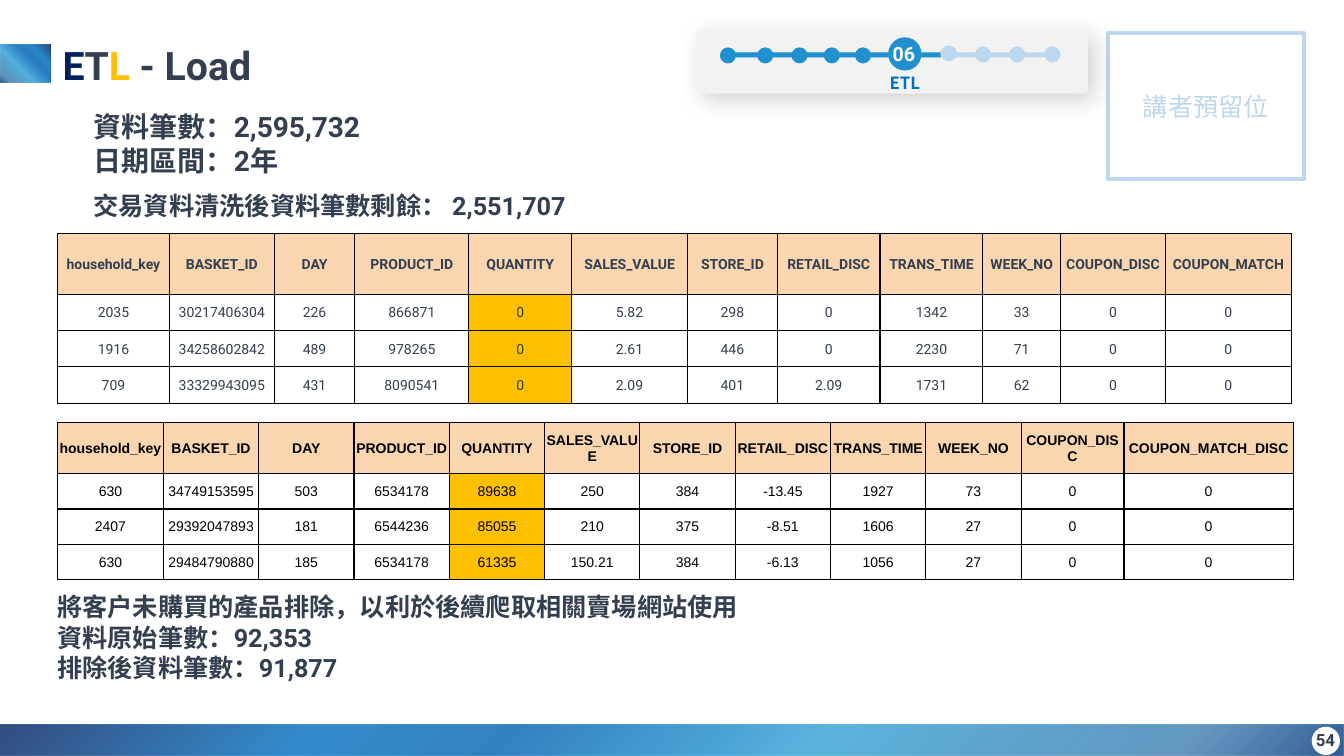
from lxml.etree import SubElement
from pptx import Presentation
from pptx.dml.color import RGBColor
from pptx.enum.shapes import MSO_SHAPE
from pptx.enum.text import MSO_ANCHOR, PP_ALIGN
from pptx.oxml import parse_xml
from pptx.oxml.ns import nsdecls, qn
from pptx.util import Inches, Pt

COLORS = {
    "white": "FFFFFF", "black": "000000", "slate": "333F50", "navy": "002060",
    "gold": "FFC000", "peach": "F9D6AF", "pale_blue": "BDD7EE", "blue": "2090CE",
    "label_blue": "0070C0", "panel": "F2F2F2",
}
# position %, colour, opacity %
GRADIENT = [
    (0, "002060", 100), (23, "0070C0", 100), (38, "0063B1", 100), (53, "1C8CCC", 100),
    (61, "34A3D6", 100), (88, "1766A2", 83), (100, "003478", 100),
]
COLUMNS = ["household_key", "BASKET_ID", "DAY", "PRODUCT_ID", "QUANTITY", "SALES_VALUE",
           "STORE_ID", "RETAIL_DISC", "TRANS_TIME", "WEEK_NO", "COUPON_DISC"]
QUANTITY = COLUMNS.index("QUANTITY")
ZERO_QUANTITY = [
    COLUMNS + ["COUPON_MATCH"],
    ["2035", "30217406304", "226", "866871", "0", "5.82", "298", "0", "1342", "33", "0", "0"],
    ["1916", "34258602842", "489", "978265", "0", "2.61", "446", "0", "2230", "71", "0", "0"],
    ["709", "33329943095", "431", "8090541", "0", "2.09", "401", "2.09", "1731", "62", "0", "0"],
]
HUGE_QUANTITY = [
    COLUMNS + ["COUPON_MATCH_DISC"],
    ["630", "34749153595", "503", "6534178", "89638", "250", "384", "-13.45", "1927", "73", "0", "0"],
    ["2407", "29392047893", "181", "6544236", "85055", "210", "375", "-8.51", "1606", "27", "0", "0"],
    ["630", "29484790880", "185", "6534178", "61335", "150.21", "384", "-6.13", "1056", "27", "0", "0"],
]
TABLE_WIDTH = 12.26


def rgb(name):
    return RGBColor.from_string(COLORS[name])


def add_run(paragraph, text, size, color, bold=True, font="Roboto"):
    run = paragraph.add_run()
    run.text = text
    run.font.size, run.font.bold, run.font.name = Pt(size), bold, font
    run.font.color.rgb = rgb(color)
    east_asian = SubElement(run.font._element, qn("a:ea"))
    east_asian.set("typeface", "Noto Sans CJK TC")


def add_shape(shapes, kind, left, top, width, height, fill=None, opacity=100):
    shape = shapes.add_shape(kind, Inches(left), Inches(top), Inches(width), Inches(height))
    shape.shadow.inherit = False
    shape.line.fill.background()
    if fill is None:
        shape.fill.background()
        return shape
    shape.fill.solid()
    shape.fill.fore_color.rgb = rgb(fill)
    if opacity < 100:
        color = shape.fill._xPr.find(qn("a:solidFill"))[0]
        SubElement(color, qn("a:alpha")).set("val", str(opacity * 1000))
    return shape


def add_gradient_bar(shapes, left, top, width, height, rotation=0):
    shape = add_shape(shapes, MSO_SHAPE.RECTANGLE, left, top, width, height)
    shape.rotation = rotation
    stops = "".join(
        f'<a:gs pos="{position * 1000}"><a:srgbClr val="{color}">'
        f'<a:alpha val="{opacity * 1000}"/></a:srgbClr></a:gs>'
        for position, color, opacity in GRADIENT)
    gradient = parse_xml(
        f'<a:gradFill {nsdecls("a")} rotWithShape="1"><a:gsLst>{stops}</a:gsLst>'
        '<a:lin ang="2700000" scaled="0"/></a:gradFill>')
    properties = shape._element.spPr
    properties.replace(properties.find(qn("a:noFill")), gradient)


def add_text(shapes, left, top, width, height, lines, size, color="slate",
             align=PP_ALIGN.LEFT, anchor=MSO_ANCHOR.TOP, spacing=None, font="Roboto"):
    box = shapes.add_textbox(Inches(left), Inches(top), Inches(width), Inches(height))
    frame = box.text_frame
    frame.word_wrap = True
    frame.vertical_anchor = anchor
    for index, line in enumerate(lines):
        paragraph = frame.add_paragraph() if index else frame.paragraphs[0]
        paragraph.alignment = align
        if spacing:
            paragraph.line_spacing = spacing
        add_run(paragraph, line, size, color, font=font)


def add_decoration(shapes):
    """Speaker frame, footer bar, title accent and page number."""
    speaker = add_shape(shapes, MSO_SHAPE.RECTANGLE, 10.99, 0.33, 1.94, 1.45)
    speaker.line.color.rgb = rgb("pale_blue")
    speaker.line.width = Pt(3)
    speaker.text_frame.vertical_anchor = MSO_ANCHOR.MIDDLE
    paragraph = speaker.text_frame.paragraphs[0]
    paragraph.alignment = PP_ALIGN.CENTER
    add_run(paragraph, "講者預留位", 18, "pale_blue", bold=False)

    add_gradient_bar(shapes, 0, 7.19, 13.33, 0.31)
    add_gradient_bar(shapes, 0.06, 0.38, 0.38, 0.5, rotation=90)
    add_shape(shapes, MSO_SHAPE.RECTANGLE, 0, 7.19, 13.33, 0.31, "white", 20)
    add_shape(shapes, MSO_SHAPE.RECTANGLE, 0, 0.44, 0.5, 0.38, "white", 16)
    add_shape(shapes, MSO_SHAPE.OVAL, 13.01, 7.21, 0.28, 0.28, "white")
    add_text(shapes, 10.34, 7.14, 3, 0.4, ["54"], 12,
             align=PP_ALIGN.RIGHT, anchor=MSO_ANCHOR.MIDDLE)


def format_title(title, left, top, width, height):
    title.left, title.top = Inches(left), Inches(top)
    title.width, title.height = Inches(width), Inches(height)
    title.text_frame.vertical_anchor = MSO_ANCHOR.TOP
    paragraph = title.text_frame.paragraphs[0]
    paragraph.alignment = PP_ALIGN.LEFT
    for text, color in [("E", "navy"), ("T", "slate"), ("L", "gold"), (" - Load", "slate")]:
        add_run(paragraph, text, 28, color)


def add_progress(shapes, left, top):
    """Chapter tracker: a panel with done and remaining steps on a line."""
    group = shapes.add_group_shape().shapes
    panel = add_shape(group, MSO_SHAPE.ROUNDED_RECTANGLE, left, top, 3.88, 0.64, "panel")
    panel.adjustments[0] = 0.055
    effects = panel._element.spPr.find(qn("a:effectLst"))
    effects.append(parse_xml(
        f'<a:outerShdw {nsdecls("a")} blurRad="{Pt(17)}" dist="{Pt(6)}" dir="2700000" '
        'algn="tl" rotWithShape="0"><a:srgbClr val="000000"><a:alpha val="18000"/>'
        '</a:srgbClr></a:outerShdw>'))

    line_top = top + 0.23
    add_shape(group, MSO_SHAPE.RECTANGLE, left + 0.36, line_top, 3.23, 0.05, "pale_blue")
    add_shape(group, MSO_SHAPE.RECTANGLE, left + 0.33, line_top, 2.09, 0.05, "blue")
    add_shape(group, MSO_SHAPE.OVAL, left + 1.9, top + 0.08, 0.33, 0.33, "blue")
    steps = [(0.23, 0.18, "blue"), (0.6, 0.18, "blue"), (0.94, 0.18, "blue"),
             (1.26, 0.18, "blue"), (1.57, 0.18, "blue"), (2.42, 0.16, "pale_blue"),
             (2.76, 0.17, "pale_blue"), (3.1, 0.17, "pale_blue"), (3.45, 0.17, "pale_blue")]
    for across, down, color in steps:
        add_shape(group, MSO_SHAPE.OVAL, left + across, top + down, 0.16, 0.16, color)
    add_text(group, left + 1.39, top + 0.1, 1.33, 0.51, ["06"], 14, "white",
             PP_ALIGN.CENTER, spacing=0.9)
    add_text(group, left + 1.61, top + 0.4, 0.91, 0.35, ["ETL"], 12, "label_blue",
             PP_ALIGN.CENTER, spacing=0.9, font="Noto Sans CJK TC")


def format_cell(cell, text, fill, color, bold, font):
    cell.margin_left = cell.margin_right = cell.margin_top = Inches(0.01)
    cell.margin_bottom = 0
    cell.vertical_anchor = MSO_ANCHOR.MIDDLE
    paragraph = cell.text_frame.paragraphs[0]
    paragraph.alignment = PP_ALIGN.CENTER
    add_run(paragraph, text, 10, color, bold, font)
    properties = cell._tc.get_or_add_tcPr()
    for side in ("lnL", "lnR", "lnT", "lnB"):
        properties.append(parse_xml(
            f'<a:{side} {nsdecls("a")} w="{Pt(1)}"><a:solidFill>'
            f'<a:srgbClr val="{COLORS["black"]}"/></a:solidFill></a:{side}>'))
    cell.fill.solid()
    cell.fill.fore_color.rgb = rgb(fill)


def add_records(shapes, left, top, records, widths, heights, color, font):
    """Table of transactions with the quantity column highlighted."""
    table = shapes.add_table(len(records), len(widths), Inches(left), Inches(top),
                             Inches(sum(widths)), Inches(sum(heights))).table
    table.first_row = table.horz_banding = False
    for column, width in zip(table.columns, widths):
        column.width = Inches(width)
    for row_index, record in enumerate(records):
        table.rows[row_index].height = Inches(heights[row_index])
        header = row_index == 0
        for column_index, text in enumerate(record):
            body_fill = "gold" if column_index == QUANTITY else "white"
            format_cell(table.cell(row_index, column_index), text,
                        "peach" if header else body_fill, color, header, font)


def main():
    presentation = Presentation()
    presentation.slide_width, presentation.slide_height = Inches(13.33), Inches(7.5)
    slide = presentation.slides.add_slide(presentation.slide_layouts[5])
    shapes = slide.shapes

    add_decoration(shapes)
    format_title(shapes.title, 0.52, 0.36, 5.87, 0.57)
    add_progress(shapes, 6.91, 0.29)
    add_text(shapes, 0.83, 1.04, 5.66, 0.77, ["資料筆數：2,595,732", "日期區間：2年"], 20)
    add_text(shapes, 0.83, 1.84, 10.36, 0.4, ["交易資料清洗後資料筆數剩餘： 2,551,707"], 18)
    add_records(shapes, 0.57, 2.32, ZERO_QUANTITY,
                [1.11, 1.04, 0.8, 1.13, 1.02, 1.15, 0.89, 1.02, 1.02, 0.77, 1.04, 1.25],
                [0.6] + [0.36] * 3, "slate", "Roboto")
    key_width, coupon_width, match_width = 1.05, 1.02, 1.68
    equal_width = (TABLE_WIDTH - key_width - coupon_width - match_width) / 9
    add_records(shapes, 0.57, 4.19, HUGE_QUANTITY,
                [key_width] + [equal_width] * 9 + [coupon_width, match_width],
                [0.51] + [0.35] * 3, "black", "Arial")
    add_text(shapes, 0.47, 5.82, 8.62, 1.04,
             ["將客戶未購買的產品排除，以利於後續爬取相關賣場網站使用",
              "資料原始筆數：92,353", "排除後資料筆數：91,877"], 18)
    presentation.save("out.pptx")


if __name__ == "__main__":
    main()
